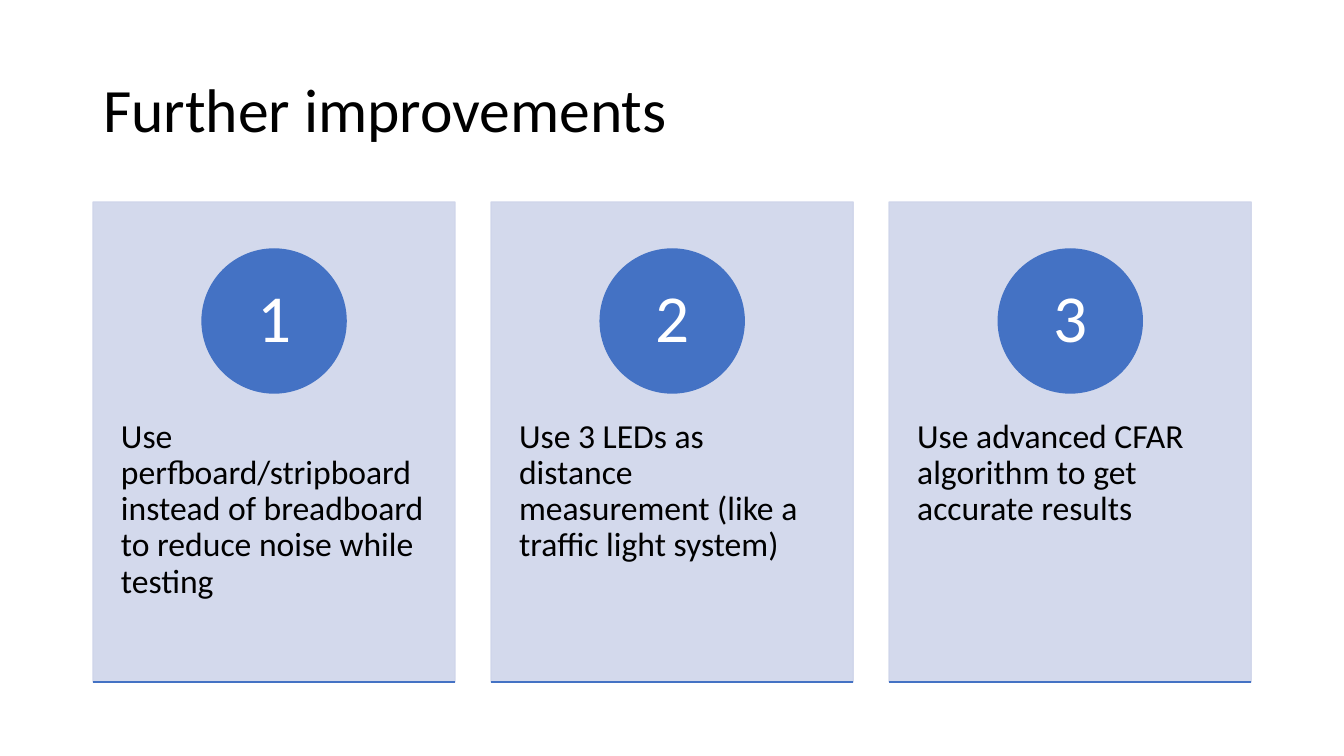
"""Build the slide of three numbered cards on further improvements."""
import pptx
import pptx.util
import pptx.oxml.ns
import pptx.dml.color
import pptx.enum.shapes
import pptx.enum.text
import lxml.etree

PX = 9071.43
COLORS = {"black": "000000", "white": "FFFFFF", "blue": "4472C4", "pale": "CFD5EA"}
SHAPE = pptx.enum.shapes.MSO_SHAPE
ALIGN = pptx.enum.text.PP_ALIGN
ANCHOR = pptx.enum.text.MSO_ANCHOR
ITEMS = [
    "Use perfboard/stripboard instead of breadboard to reduce noise while testing",
    "Use 3 LEDs as distance measurement (like a traffic light system)",
    "Use advanced CFAR algorithm to get accurate results",
]
LEFT, TOP, WIDTH, HEIGHT, STEP = 93, 202, 362, 480, 398
DISC = 144


def emu(*sizes):
    return [round(size * PX) for size in sizes]


def write(shape, text, size, color, align, anchor, side, edge):
    frame = shape.text_frame
    side, edge = emu(side, edge)
    look = {"word_wrap": True, "vertical_anchor": anchor,
            "margin_left": side, "margin_right": side,
            "margin_top": edge, "margin_bottom": edge}
    for name, value in look.items():
        setattr(frame, name, value)
    para = frame.paragraphs[0]
    para.text = text
    para.alignment = align
    para.line_spacing = 0.9
    font = {"name": "Calibri", "size": pptx.util.Pt(size)}
    for name, value in font.items():
        setattr(para.runs[0].font, name, value)
    para.runs[0].font.color.rgb = pptx.dml.color.RGBColor.from_string(COLORS[color])


deck = pptx.Presentation()
deck.slide_width, deck.slide_height = pptx.util.Inches(13.33), pptx.util.Inches(7.5)
slide = deck.slides.add_slide(deck.slide_layouts[6])
shapes = slide.shapes

title = shapes.add_textbox(*emu(93, 40, 1159, 146))
write(title, "Further improvements", 44, "black", ALIGN.LEFT, ANCHOR.MIDDLE, 10, 5)

for count, item in enumerate(ITEMS):
    left = LEFT + count * STEP
    card = shapes.add_shape(SHAPE.RECTANGLE, *emu(left, TOP, WIDTH, HEIGHT))
    body = shapes.add_textbox(*emu(left, 383, WIDTH, 288))
    write(body, item, 24, "black", ALIGN.LEFT, ANCHOR.TOP, 28, 36)
    disc = shapes.add_shape(
        SHAPE.OVAL, *emu(left + (WIDTH - DISC) / 2, 249, DISC, DISC))
    write(disc, str(count + 1), 48, "white", ALIGN.CENTER, ANCHOR.MIDDLE, 11, 1)

    for shape, color in ((card, "pale"), (disc, "blue")):
        shape.shadow.inherit = False
        shape.fill.solid()
        shape.line.width = pptx.util.Pt(1)
        for paint in (shape.fill.fore_color, shape.line.color):
            paint.rgb = pptx.dml.color.RGBColor.from_string(COLORS[color])
    for tint in card.element.spPr.iter(pptx.oxml.ns.qn("a:srgbClr")):
        lxml.etree.SubElement(tint, pptx.oxml.ns.qn("a:alpha"), val="90000")

    base = shapes.add_connector(
        pptx.enum.shapes.MSO_CONNECTOR.STRAIGHT,
        *emu(left, TOP + HEIGHT, left + WIDTH, TOP + HEIGHT))
    base.line.width = pptx.util.Pt(1)
    base.line.color.rgb = pptx.dml.color.RGBColor.from_string(COLORS["blue"])
    lxml.etree.SubElement(base.element.spPr, pptx.oxml.ns.qn("a:effectLst"))

deck.save("out.pptx")
